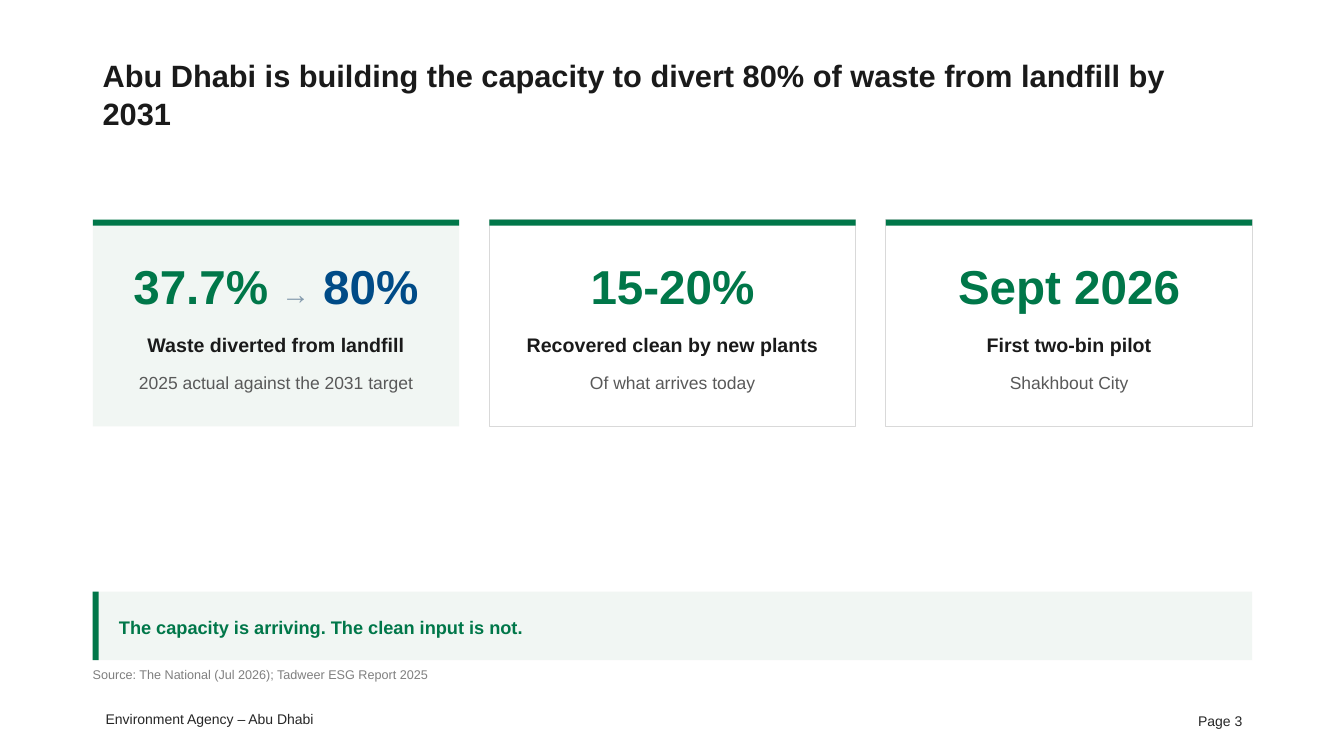
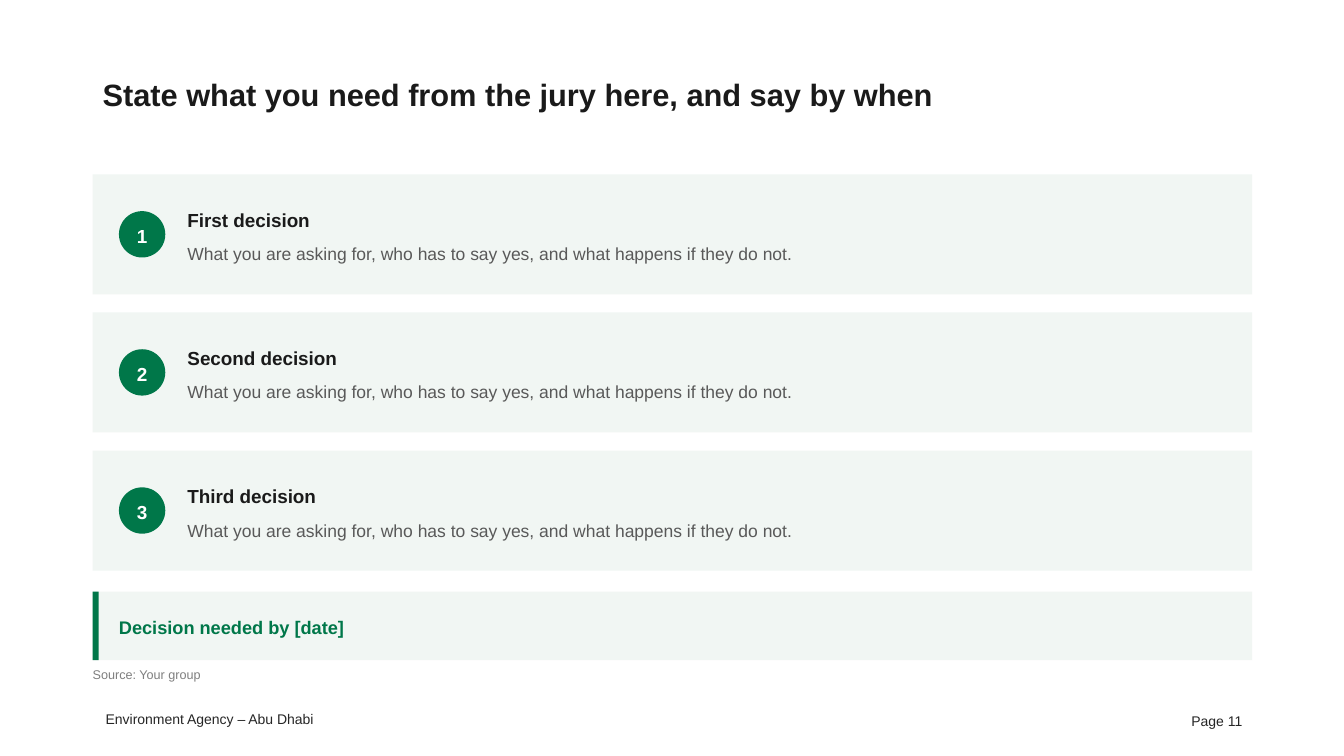
from dataclasses import dataclass
from typing import NamedTuple, Optional

from pptx import Presentation
from pptx.dml.color import RGBColor
from pptx.enum.shapes import MSO_SHAPE
from pptx.enum.text import MSO_ANCHOR, PP_ALIGN
from pptx.util import Inches, Pt

RECT, OVAL = MSO_SHAPE.RECTANGLE, MSO_SHAPE.OVAL
TOP, MIDDLE = MSO_ANCHOR.TOP, MSO_ANCHOR.MIDDLE
LEFT, CENTER, RIGHT = PP_ALIGN.LEFT, PP_ALIGN.CENTER, PP_ALIGN.RIGHT

FONT = "Arial"
COLORS = {
    "ink": "1A1A1A",
    "footer": "262626",
    "body": "595959",
    "source": "7F7F7F",
    "rule": "D9D9D9",
    "arrow": "869CAE",
    "blue": "004B87",
    "green": "007749",
    "tint": "F1F6F3",
    "white": "FFFFFF",
}

SLIDE_W, SLIDE_H = 13.33, 7.5
MARGIN = 0.92
CONTENT_W = 11.5
COLUMNS, COLUMN_GAP = 3, 0.3
COLUMN_W = (CONTENT_W - (COLUMNS - 1) * COLUMN_GAP) / COLUMNS
CARD_TOP, CARD_H = 2.18, 2.05
ROWS_TOP, ROW_H, ROW_PITCH = 1.73, 1.19, 1.37
BAND_TOP, BAND_H = 5.87, 0.68
ACCENT = 0.06
PAD = 0.26
BADGE = 0.46
LINE_SPACING = 1.12


class Box(NamedTuple):
    x: float
    y: float
    w: float
    h: float


class Span(NamedTuple):
    text: str
    color: str
    size: float
    bold: bool = False


@dataclass
class Para:
    spans: list[Span]
    align: PP_ALIGN = LEFT
    spacing: float = LINE_SPACING
    after: float = 3


@dataclass
class Card:
    figure: list[Span]
    label: str
    detail: str
    tinted: bool = False


@dataclass
class Decision:
    label: str
    detail: str


def rgb(name: str) -> RGBColor:
    return RGBColor.from_string(COLORS[name])


def style(font, span: Span) -> None:
    font.name = FONT
    font.size = Pt(span.size)
    font.bold = span.bold
    font.color.rgb = rgb(span.color)


def write(sp, paras: list[Para], anchor: MSO_ANCHOR = TOP,
          inset: tuple[float, float] = (0, 0)) -> None:
    tf = sp.text_frame
    tf.word_wrap = True
    tf.vertical_anchor = anchor
    tf.margin_left = tf.margin_right = Inches(inset[0])
    tf.margin_top = tf.margin_bottom = Inches(inset[1])
    for i, para in enumerate(paras):
        p = tf.add_paragraph() if i else tf.paragraphs[0]
        p.alignment = para.align
        p.line_spacing = para.spacing
        p.space_after = Pt(para.after)
        if len(para.spans) == 1:
            style(p.font, para.spans[0])
        for span in para.spans:
            r = p.add_run()
            r.text = span.text
            if len(para.spans) > 1:
                style(r.font, span)


def add_text(s, box: Box, paras: list[Para], anchor: MSO_ANCHOR = TOP,
             inset: tuple[float, float] = (0, 0)) -> None:
    write(s.shapes.add_textbox(*map(Inches, box)), paras, anchor, inset)


def add_block(s, box: Box, fill: str, kind: MSO_SHAPE = RECT,
              line: Optional[str] = None):
    sp = s.shapes.add_shape(kind, *map(Inches, box))
    sp.shadow.inherit = False
    sp.fill.solid()
    sp.fill.fore_color.rgb = rgb(fill)
    if line:
        sp.line.color.rgb = rgb(line)
        sp.line.width = Pt(0.75)
    else:
        sp.line.fill.background()
    return sp


def add_frame(prs, title: str, message: str, source: str, page: int):
    s = prs.slides.add_slide(prs.slide_layouts[6])
    add_text(s, Box(MARGIN, 0.4, CONTENT_W, 1.05),
             [Para([Span(title, "ink", 22, True)], spacing=1.05, after=0)],
             MIDDLE, (0.1, 0.05))
    band = add_block(s, Box(MARGIN, BAND_TOP, CONTENT_W, BAND_H), "tint")
    write(band, [Para([Span(message, "green", 13, True)])], MIDDLE, (PAD, 0))
    add_block(s, Box(MARGIN, BAND_TOP, ACCENT, BAND_H), "green")
    add_text(s, Box(MARGIN, 6.6, 8.4, 0.22), [Para([Span(source, "source", 9)])])
    add_text(s, Box(0.95, 7, 2.4, 0.27),
             [Para([Span("Environment Agency – Abu Dhabi", "footer", 10)],
                   spacing=1, after=0)], MIDDLE, (0.1, 0.05))
    add_text(s, Box(MARGIN + CONTENT_W - 3, 6.95, 3, 0.4),
             [Para([Span(f"Page {page}", "footer", 10)], RIGHT, 1, 0)],
             MIDDLE, (0.1, 0.05))
    return s


def add_card(s, column: int, card: Card) -> None:
    x = MARGIN + column * (COLUMN_W + COLUMN_GAP)
    box = Box(x, CARD_TOP, COLUMN_W, CARD_H)
    if card.tinted:
        add_block(s, box, "tint")
    else:
        add_block(s, box, "white", line="rule")
    add_block(s, box._replace(h=ACCENT), "green")
    add_text(s, Box(x + 0.16, CARD_TOP + 0.3, COLUMN_W - 0.32, 0.71),
             [Para(card.figure, CENTER, 1, 0)], MIDDLE)
    add_text(s, Box(x + 0.22, CARD_TOP + 1.09, COLUMN_W - 0.44, 0.62),
             [Para([Span(card.label, "ink", 14, True)], CENTER, after=9.4),
              Para([Span(card.detail, "body", 12.5)], CENTER)])


def add_decision(s, row: int, decision: Decision) -> None:
    y = ROWS_TOP + row * ROW_PITCH
    add_block(s, Box(MARGIN, y, CONTENT_W, ROW_H), "tint")
    badge = add_block(s, Box(MARGIN + PAD, y + (ROW_H - BADGE) / 2, BADGE, BADGE),
                      "green", OVAL)
    write(badge, [Para([Span(str(row + 1), "white", 13.5, True)], CENTER)], MIDDLE)
    add_text(s, Box(MARGIN + 0.94, y + 0.31, CONTENT_W - 0.94 - PAD, 0.58),
             [Para([Span(decision.label, "ink", 13.5, True)], after=7.1),
              Para([Span(decision.detail, "body", 12.5)])])


def main() -> None:
    prs = Presentation()
    prs.slide_width, prs.slide_height = Inches(SLIDE_W), Inches(SLIDE_H)

    cards = [
        Card([Span("37.7% ", "green", 34, True), Span("→", "arrow", 20.4),
              Span(" 80%", "blue", 34, True)],
             "Waste diverted from landfill", "2025 actual against the 2031 target",
             tinted=True),
        Card([Span("15-20%", "green", 34, True)],
             "Recovered clean by new plants", "Of what arrives today"),
        Card([Span("Sept 2026", "green", 34, True)],
             "First two-bin pilot", "Shakhbout City"),
    ]
    s = add_frame(
        prs,
        "Abu Dhabi is building the capacity to divert 80% of waste from landfill by 2031",
        "The capacity is arriving. The clean input is not.",
        "Source: The National (Jul 2026); Tadweer ESG Report 2025", 3)
    for column, card in enumerate(cards):
        add_card(s, column, card)

    ask = "What you are asking for, who has to say yes, and what happens if they do not."
    s = add_frame(prs, "State what you need from the jury here, and say by when",
                  "Decision needed by [date]", "Source: Your group", 11)
    for row, ordinal in enumerate(("First", "Second", "Third")):
        add_decision(s, row, Decision(f"{ordinal} decision", ask))

    prs.save("out.pptx")


if __name__ == "__main__":
    main()
